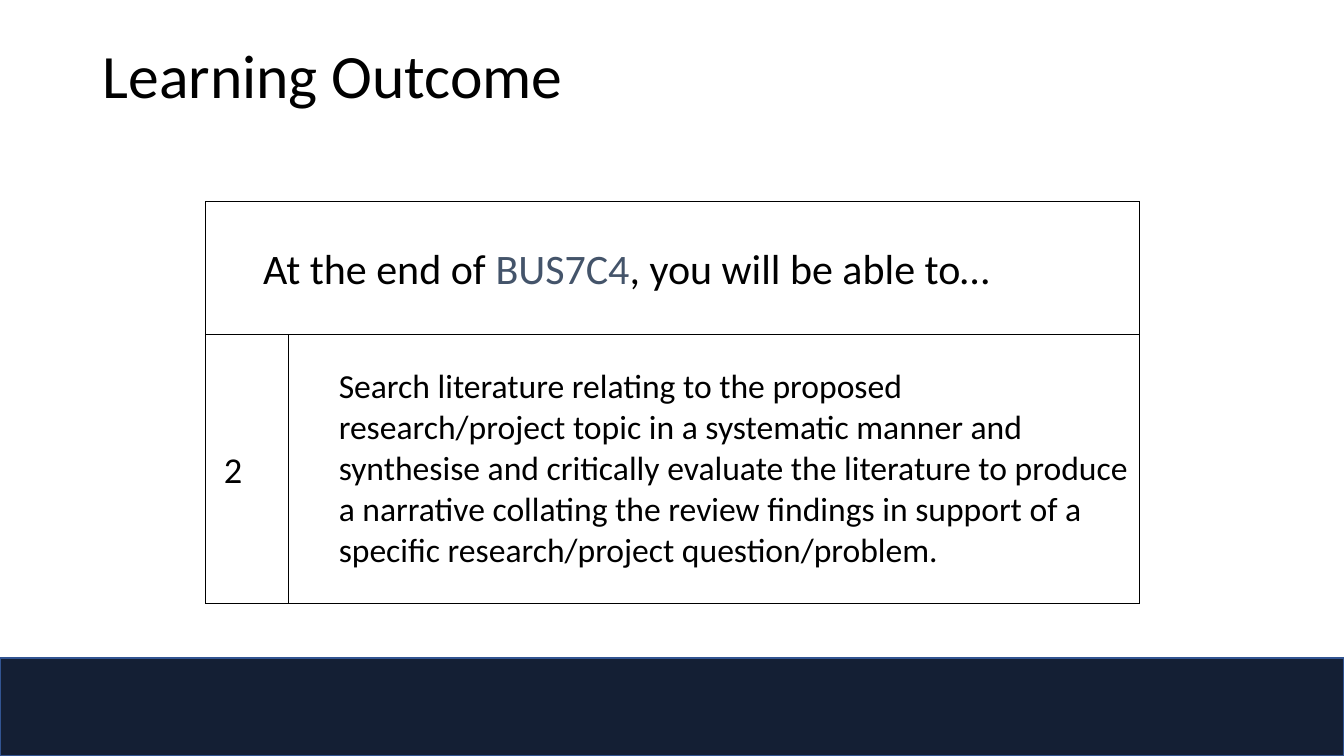
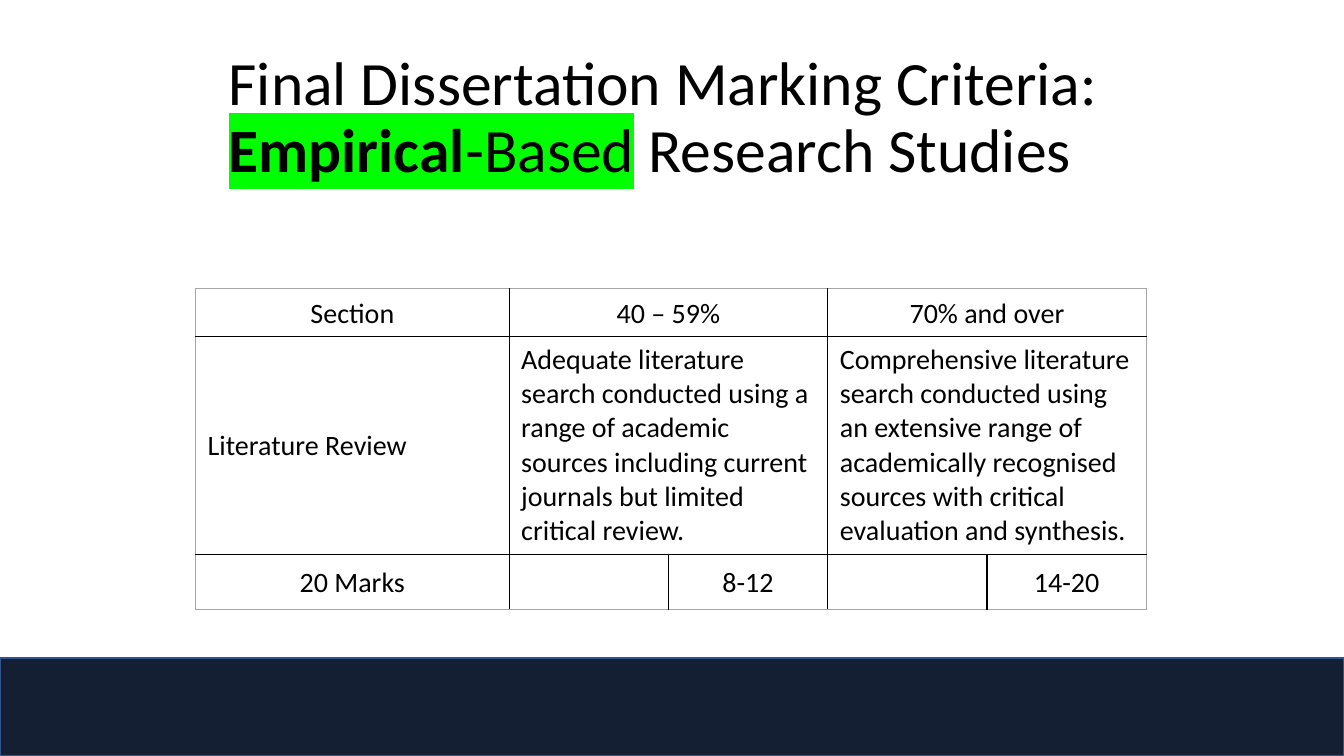
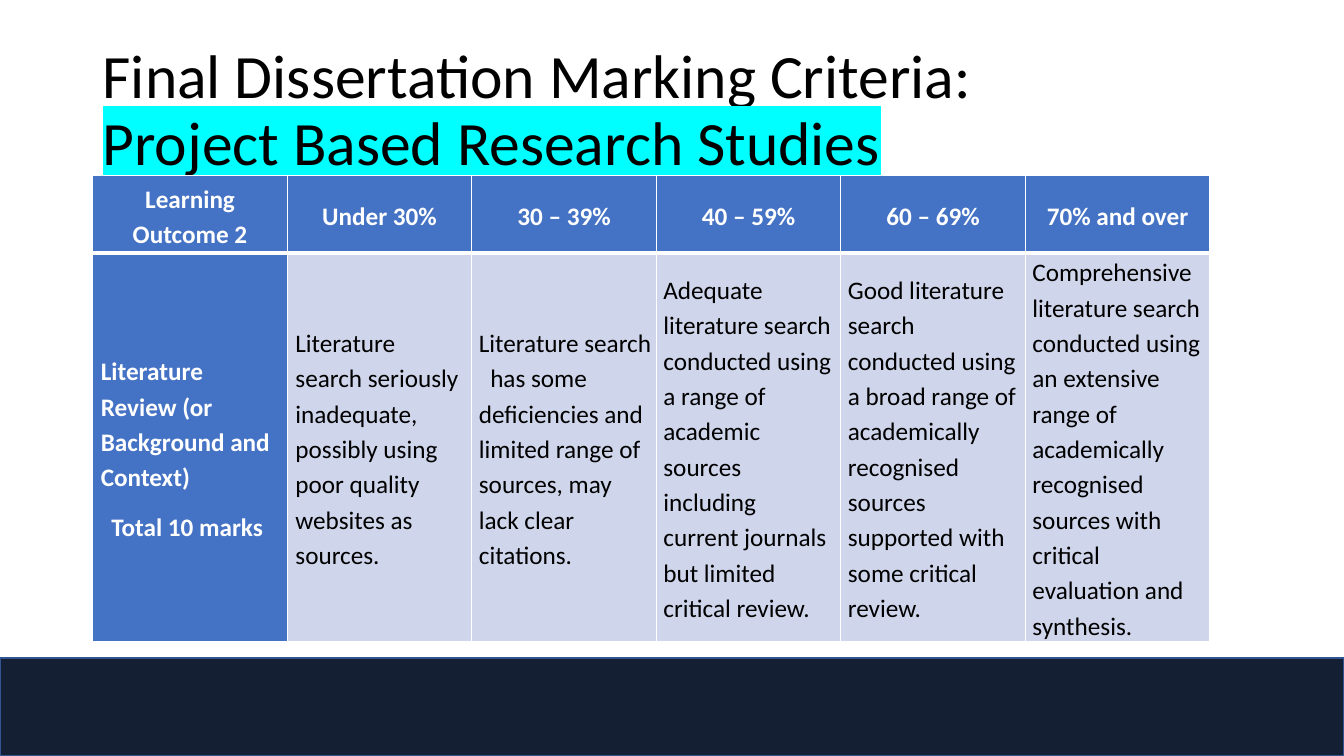
from dataclasses import dataclass, replace
from typing import Optional

from lxml.etree import SubElement
from pptx import Presentation
from pptx.dml.color import RGBColor
from pptx.enum.shapes import MSO_SHAPE
from pptx.enum.text import MSO_ANCHOR, PP_ALIGN
from pptx.oxml.ns import qn
from pptx.slide import Slide
from pptx.util import Inches, Pt


@dataclass(frozen=True)
class Theme:
    font: str = "Calibri"
    black: str = "000000"
    white: str = "FFFFFF"
    slate: str = "44546A"
    navy: str = "141F34"
    band_line: str = "325491"
    grid_edge: str = "A6A6A6"
    header: str = "4472C4"
    body: str = "CFD5EA"
    green: str = "00FF00"
    cyan: str = "00FFFF"
    title_size: int = 44
    intro_size: int = 30
    number_size: int = 26
    outcome_size: int = 24
    criteria_size: int = 20
    grade_size: int = 18


THEME = Theme()


@dataclass(frozen=True)
class Run:
    text: str
    color: str = THEME.black
    bold: bool = False
    highlight: Optional[str] = None
    line_break: bool = False


@dataclass(frozen=True)
class Para:
    runs: tuple[Run, ...]
    size: int
    align: PP_ALIGN = PP_ALIGN.LEFT
    spacing: float = 1.0
    after: int = 0
    indent: float = 0


@dataclass(frozen=True)
class Line:
    color: str
    width: float = 1


@dataclass(frozen=True)
class Borders:
    left: Line
    right: Line
    top: Line
    bottom: Line


@dataclass(frozen=True)
class Cell:
    paras: tuple[Para, ...] = ()
    insets: tuple[float, float, float, float] = (0.06, 0.06, 0.06, 0.06)
    span: int = 1
    fill: Optional[str] = None


@dataclass(frozen=True)
class Grid:
    left: float
    top: float
    cols: tuple[float, ...]
    rows: tuple[float, ...]
    cells: tuple[tuple[Cell, ...], ...]
    inner: Line
    outer: Line
    under_header: Line


def write_paras(tf, paras: tuple[Para, ...]) -> None:
    for i, para in enumerate(paras):
        p = tf.paragraphs[0] if i == 0 else tf.add_paragraph()
        p.alignment = para.align
        p.line_spacing = para.spacing
        p.space_before = Pt(0)
        p.space_after = Pt(para.after)
        if para.indent:
            pPr = p._p.get_or_add_pPr()
            pPr.set("marL", str(Inches(para.indent)))
            pPr.set("indent", "0")
        for run in para.runs:
            r = p.add_run()
            r.text = run.text
            r.font.size = Pt(para.size)
            r.font.bold = run.bold
            r.font.color.rgb = RGBColor.from_string(run.color)
            r.font.name = THEME.font
            if run.highlight:
                rPr = r._r.get_or_add_rPr()
                mark = SubElement(rPr, qn("a:highlight"))
                SubElement(mark, qn("a:srgbClr"), val=run.highlight)
                rPr.find(qn("a:solidFill")).addnext(mark)
            if run.line_break:
                p.add_line_break()


def add_base(prs, runs: tuple[Run, ...], at: tuple[float, float, float, float]) -> Slide:
    s = prs.slides.add_slide(prs.slide_layouts[6])
    tf = s.shapes.add_textbox(*map(Inches, at)).text_frame
    tf.word_wrap = True
    tf.vertical_anchor = MSO_ANCHOR.TOP
    write_paras(tf, (Para(runs, THEME.title_size, spacing=0.9),))
    sp = s.shapes.add_shape(MSO_SHAPE.RECTANGLE, 0, Inches(6.53), prs.slide_width, Inches(0.97))
    sp.shadow.inherit = False
    sp.fill.solid()
    sp.fill.fore_color.rgb = RGBColor.from_string(THEME.navy)
    sp.line.color.rgb = RGBColor.from_string(THEME.band_line)
    sp.line.width = Pt(1)
    return s


def set_borders(cell, borders: Borders) -> None:
    tcPr = cell._tc.get_or_add_tcPr()
    lines = (("a:lnL", borders.left), ("a:lnR", borders.right),
             ("a:lnT", borders.top), ("a:lnB", borders.bottom))
    for i, (tag, line) in enumerate(lines):
        ln = SubElement(tcPr, qn(tag), w=str(Pt(line.width)))
        fill = SubElement(ln, qn("a:solidFill"))
        SubElement(fill, qn("a:srgbClr"), val=line.color)
        tcPr.insert(i, ln)


def add_grid(s: Slide, grid: Grid) -> None:
    n_rows, n_cols = len(grid.rows), len(grid.cols)
    size = (grid.left, grid.top, sum(grid.cols), sum(grid.rows))
    table = s.shapes.add_table(n_rows, n_cols, *map(Inches, size)).table
    table.first_row = False
    table.horz_banding = False
    for column, width in zip(table.columns, grid.cols):
        column.width = Inches(width)
    for row, height in zip(table.rows, grid.rows):
        row.height = Inches(height)
    for cell in table.iter_cells():
        cell.fill.background()
    for i, row_cells in enumerate(grid.cells):
        j = 0
        for item in row_cells:
            cell = table.cell(i, j)
            end = j + item.span
            if item.span > 1:
                cell.merge(table.cell(i, end - 1))
            if item.fill:
                cell.fill.solid()
                cell.fill.fore_color.rgb = RGBColor.from_string(item.fill)
            cell.vertical_anchor = MSO_ANCHOR.MIDDLE
            (cell.margin_left, cell.margin_top,
             cell.margin_right, cell.margin_bottom) = map(Inches, item.insets)
            write_paras(cell.text_frame, item.paras)
            set_borders(cell, Borders(
                left=grid.outer if j == 0 else grid.inner,
                right=grid.outer if end == n_cols else grid.inner,
                top=(grid.outer, grid.under_header, grid.inner)[min(i, 2)],
                bottom=(grid.under_header if i == 0 else
                        grid.outer if i == n_rows - 1 else grid.inner)))
            j = end


def outcome_grid() -> Grid:
    insets = (0, 0, 0.06, 0)
    intro = Para((Run("At the end of "), Run("BUS7C4", THEME.slate),
                  Run(", you will be able to…")),
                 THEME.intro_size, spacing=1.07, indent=0.57)
    number = Para((Run("2"),), THEME.number_size, spacing=1.07, indent=0.18)
    outcome = Para((Run(
        "Search literature relating to the proposed research/project topic in a systematic "
        "manner and synthesise and critically evaluate the literature to produce a narrative "
        "collating the review findings in support of a specific research/project "
        "question/problem."),), THEME.outcome_size, indent=0.5)
    black = Line(THEME.black)
    return Grid(2.04, 2, (0.82, 8.44), (1.32, 2.67),
                ((Cell((intro,), insets, span=2),),
                 (Cell((number,), insets), Cell((outcome,), insets))),
                black, black, black)


ADEQUATE = ("Adequate literature search conducted using a range of academic sources "
            "including current journals but limited critical review.")
COMPREHENSIVE = ("Comprehensive literature search conducted using an extensive range of "
                 "academically recognised sources with critical evaluation and synthesis.")


def criteria_grid() -> Grid:
    def label(text: str, span: int = 1) -> Cell:
        return Cell((Para((Run(text),), THEME.criteria_size, PP_ALIGN.CENTER, 1.07),), span=span)

    def detail(text: str, span: int = 1) -> Cell:
        return Cell((Para((Run(text),), THEME.criteria_size, after=6),),
                    (0.12, 0.06, 0.06, 0.06), span)

    black = Line(THEME.black)
    return Grid(1.94, 2.86, (3.11,) + (1.58,) * 4, (0.48, 2.16, 0.55),
                ((label("Section"), label("40 – 59%", 2), label("70% and over", 2)),
                 (detail("Literature Review"), detail(ADEQUATE, 2), detail(COMPREHENSIVE, 2)),
                 (label("20 Marks"), Cell(), label("8-12"), Cell(), label("14-20"))),
                black, Line(THEME.grid_edge, 0.5), black)


def grades_grid() -> Grid:
    wide, narrow = (0.08, 0.04, 0.08, 0.04), (0.07, 0, 0.05, 0)

    def heading(text: str, align: PP_ALIGN = PP_ALIGN.CENTER) -> Para:
        return Para((Run(text, THEME.white, True),), THEME.grade_size, align, 1.15, 10)

    def grade(text: str) -> Cell:
        return Cell((Para((Run(text),), THEME.grade_size, spacing=1.15, after=6),),
                    narrow, fill=THEME.body)

    headings = ("Learning Outcome 2", "Under 30%", "30 – 39%", "40 – 59%", "60 – 69%",
                "70% and over")
    header = tuple(Cell((heading(h),), wide, fill=THEME.header) for h in headings)
    section = Cell((heading("Literature Review (or Background and Context)", PP_ALIGN.LEFT),
                    heading("Total 10 marks ")), wide, fill=THEME.header)
    inadequate = grade("Literature search seriously inadequate, possibly using poor quality "
                       "websites as sources.")
    best = grade(COMPREHENSIVE)
    body = (section,
            replace(inadequate, insets=wide),
            grade("Literature search   has some deficiencies and limited range of sources, "
                  "may lack clear citations."),
            grade(ADEQUATE),
            grade("Good literature search conducted using a broad range of academically "
                  "recognised sources supported with some critical review."),
            replace(best, paras=(replace(best.paras[0], after=10),)))
    white = Line(THEME.white)
    return Grid(0.92, 1.74, (1.93,) + (1.83,) * 5, (0.77, 3.86), (header, body),
                white, white, Line(THEME.white, 3))


def main() -> None:
    prs = Presentation()
    prs.slide_width, prs.slide_height = Inches(13.33), Inches(7.5)
    title_at = (0.92, 0.4, 11.5, 1.45)

    s = add_base(prs, (Run("Learning Outcome"),), title_at)
    add_grid(s, outcome_grid())

    s = add_base(prs, (Run("Final Dissertation Marking Criteria: "),
                       Run("Empirical", bold=True, highlight=THEME.green),
                       Run("-Based", highlight=THEME.green),
                       Run(" Research Studies")), (2.17, 0.47, 9, 2.07))
    add_grid(s, criteria_grid())

    s = add_base(prs, (Run("Final Dissertation Marking Criteria:", line_break=True),
                       Run("Project Based Research Studies", highlight=THEME.cyan)), title_at)
    add_grid(s, grades_grid())

    prs.save("out.pptx")


if __name__ == "__main__":
    main()
